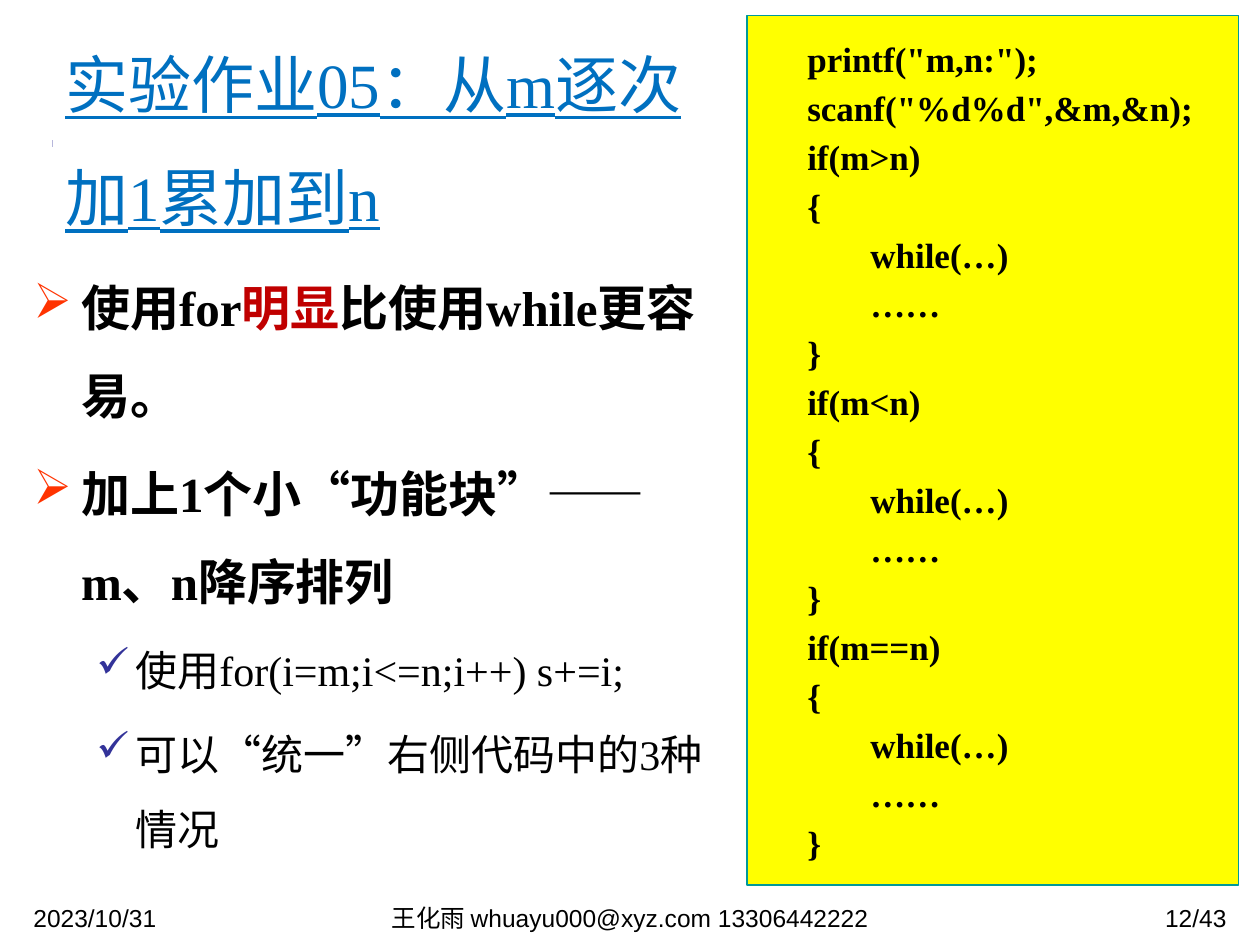
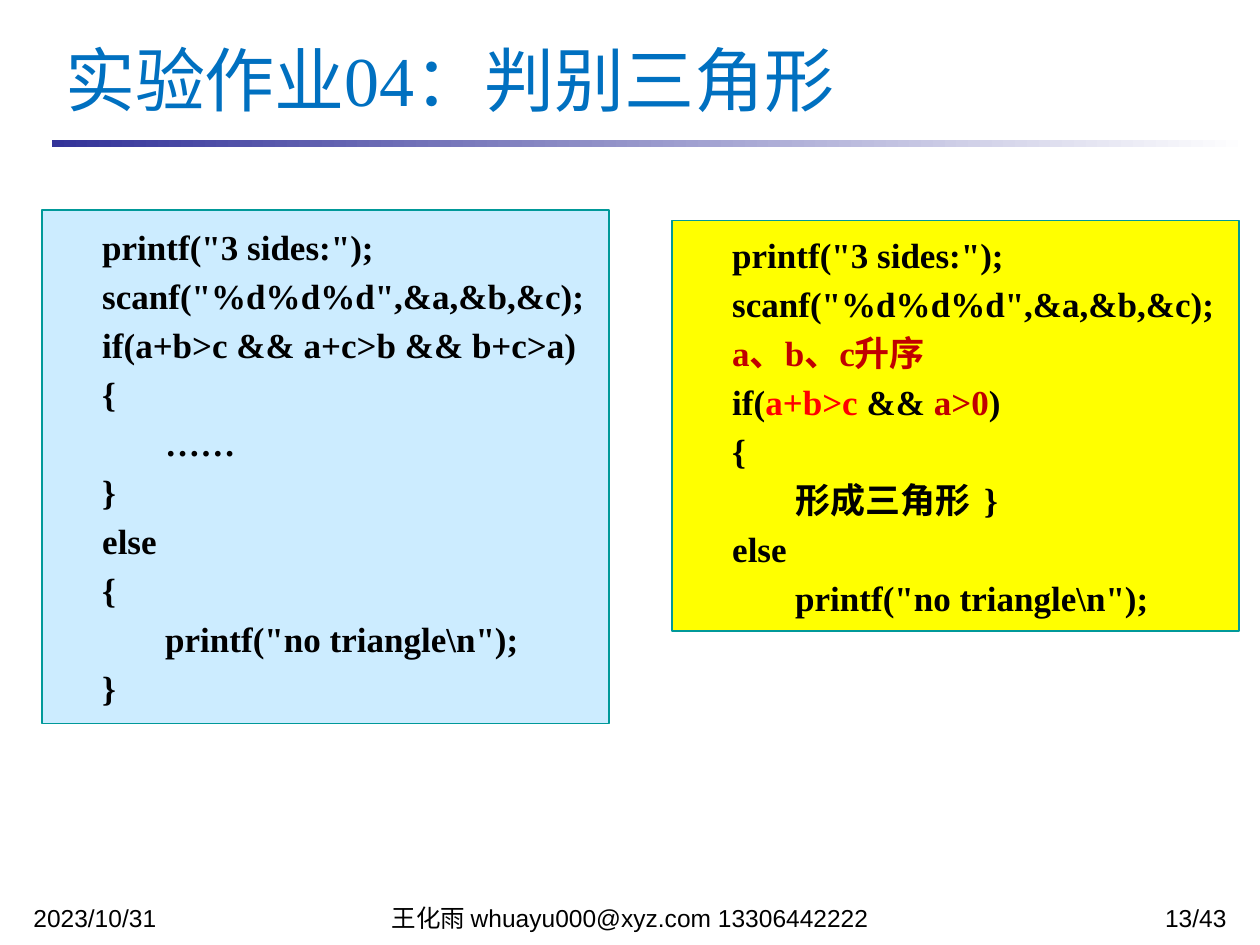
import pptx
import pptx.util
import pptx.dml.color
import pptx.enum.shapes
import pptx.enum.text
import pptx.oxml.ns
from lxml import etree

COLORS = {
    "black": "000000", "white": "FFFFFF", "title": "0070C0", "band": "333399",
    "arrow": "FF3300", "check": "333399", "emphasis": "C00000", "red": "FF0000",
    "border": "009999", "yellow": "FFFF00", "sky": "CCECFF",
}
SERIF, SANS = "Times New Roman", "Arial"
ALIGN = pptx.enum.text.PP_ALIGN
AUTO_SIZE = pptx.enum.text.MSO_AUTO_SIZE
ANCHOR = pptx.enum.text.MSO_ANCHOR
RECTANGLE = pptx.enum.shapes.MSO_SHAPE.RECTANGLE
qn = pptx.oxml.ns.qn

deck = pptx.Presentation()
deck.slide_width = pptx.util.Inches(10)
deck.slide_height = pptx.util.Inches(7.5)
column = deck.slide_width / 120
row = deck.slide_height / 90


def rgb(name):
    return pptx.dml.color.RGBColor.from_string(COLORS[name])


def write(paragraph, parts, size, face=SERIF, color="black", bold=False, line_spacing=None,
          space_before=True, margin=0, hanging=0, bullet=None, bullet_color=None):
    for part in [parts] if isinstance(parts, str) else parts:
        text, part_color = (part, None) if isinstance(part, str) else part
        run = paragraph.add_run()
        run.text = text
        if part_color:
            run.font.color.rgb = rgb(part_color)
    if line_spacing:
        paragraph.line_spacing = line_spacing
    properties = paragraph._p.get_or_add_pPr()
    if space_before:
        paragraph.space_before = pptx.util.Pt(1)
        spacing = properties.find(qn("a:spcBef"))
        spacing.remove(spacing[0])
        etree.SubElement(spacing, qn("a:spcPct"), val="20000")
    if margin:
        properties.set("marL", str(pptx.util.Inches(margin)))
        properties.set("indent", str(-pptx.util.Inches(hanging)))
    if bullet:
        tint = etree.SubElement(properties, qn("a:buClr"))
        etree.SubElement(tint, qn("a:srgbClr"), val=COLORS[bullet_color])
        etree.SubElement(properties, qn("a:buChar"), char=bullet)
    font = paragraph.font
    font.name, font.size, font.bold = face, pptx.util.Pt(size), bold
    font.color.rgb = rgb(color)


def place(left, top, width, height):
    return [round(v) for v in (left * column, top * row, width * column, height * row)]


comparisons = []
for condition in ("m>n", "m<n", "m==n"):
    comparisons += [f"\tif({condition})", "\t{", "\t\twhile(…)", "\t\t……", "\t}"]

read_sides = ["\tprintf(\"3 sides:\");", "\tscanf(\"%d%d%d\",&a,&b,&c);"]
reject = "\t\tprintf(\"no triangle\\n\");"
pages = [
    {
        "number": 12, "title": "实验作业05：从m逐次加1累加到n", "title_size": 36,
        "title_area": (5, 3, 66.25, 17), "underlined": True,
        "points": [
            (0, ["使用for", ("明显", "emphasis"), "比使用while更容易。"]),
            (0, "加上1个小“功能块”——m、n降序排列"),
            (1, "使用for(i=m;i<=n;i++) s+=i;"),
            (1, "可以“统一”右侧代码中的3种情况"),
        ],
        "listings": [
            ((71.15, 1.5, 46.8, 82.8), "yellow",
             ["\tprintf(\"m,n:\");", "\tscanf(\"%d%d\",&m,&n);"] + comparisons),
        ],
    },
    {
        "number": 13, "title": "实验作业04：判别三角形", "title_size": 40,
        "title_area": (5, 1, 93, 9), "underlined": False,
        "points": [],
        "listings": [
            ((4, 20, 54, 48.9), "sky", read_sides + [
                "\tif(a+b>c && a+c>b && b+c>a)", "\t{", "\t\t……", "\t}",
                "\telse", "\t{", reject, "\t}"]),
            ((64, 21, 54, 39.1), "yellow", read_sides + [
                ["\t", ("a、b、c升序", "emphasis")],
                ["\tif(", ("a+b>c", "red"), " && ", ("a>0", "emphasis"), ")"],
                "\t{", "\t\t形成三角形\t}", "\telse", reject]),
        ],
    },
]
point_styles = [
    dict(size=28, bold=True, margin=0.38, hanging=0.38, bullet="➢", bullet_color="arrow"),
    dict(size=24, margin=0.81, hanging=0.31, bullet="✓", bullet_color="check"),
]

for page in pages:
    slide = deck.slides.add_slide(deck.slide_layouts[5])

    heading = slide.shapes.title
    heading.left, heading.top, heading.width, heading.height = place(*page["title_area"])
    heading.text_frame.auto_size = AUTO_SIZE.NONE
    heading.text_frame.vertical_anchor = ANCHOR.MIDDLE
    heading_line = heading.text_frame.paragraphs[0]
    write(heading_line, page["title"], page["title_size"], color="title",
          line_spacing=1.5, space_before=False)
    heading_line.alignment = ALIGN.LEFT
    if page["underlined"]:
        heading_line.font.underline = True
        heading.fill.solid()
        heading.fill.fore_color.rgb = rgb("white")

    band = slide.shapes.add_shape(RECTANGLE, *place(4.95, 13.3, 114.1, 0.75))
    band.shadow.inherit = False
    band.line.fill.background()
    band.fill.gradient()
    band.fill.gradient_angle = 0
    for stop, tone in zip(band.fill.gradient_stops, ("band", "white")):
        stop.color.rgb = rgb(tone)
    heading.element.addprevious(band.element)

    footers = [
        (2, 28, ALIGN.LEFT, "2023/10/31"),
        (31, 58, ALIGN.CENTER, "王化雨 whuayu000@xyz.com 13306442222"),
        (95, 23, ALIGN.RIGHT, f"{page['number']}/43"),
    ]
    for left, width, alignment, text in footers:
        footer = slide.shapes.add_textbox(*place(left, 86, width, 2.2)).text_frame
        footer.word_wrap = True
        write(footer.paragraphs[0], text, 14, face=SANS, line_spacing=0.8)
        footer.paragraphs[0].alignment = alignment

    if page["points"]:
        points = slide.shapes.add_textbox(*place(2, 23, 67, 55.3)).text_frame
        points.word_wrap = True
        for index, (level, parts) in enumerate(page["points"]):
            point = points.add_paragraph() if index else points.paragraphs[0]
            point.level = level
            write(point, parts, line_spacing=1.5, **point_styles[level])

    for area, background, lines in page["listings"]:
        listing = slide.shapes.add_shape(RECTANGLE, *place(*area))
        listing.shadow.inherit = False
        listing.fill.solid()
        listing.fill.fore_color.rgb = rgb(background)
        listing.line.color.rgb = rgb("border")
        listing.line.width = pptx.util.Pt(0.75)
        code = listing.text_frame
        code.word_wrap = True
        code.auto_size = AUTO_SIZE.SHAPE_TO_FIT_TEXT
        code.vertical_anchor = ANCHOR.MIDDLE
        for index, parts in enumerate(lines):
            code_line = code.add_paragraph() if index else code.paragraphs[0]
            code_line.alignment = ALIGN.LEFT
            write(code_line, parts, 20, bold=True, margin=0.38, hanging=0.38)

deck.save("out.pptx")
